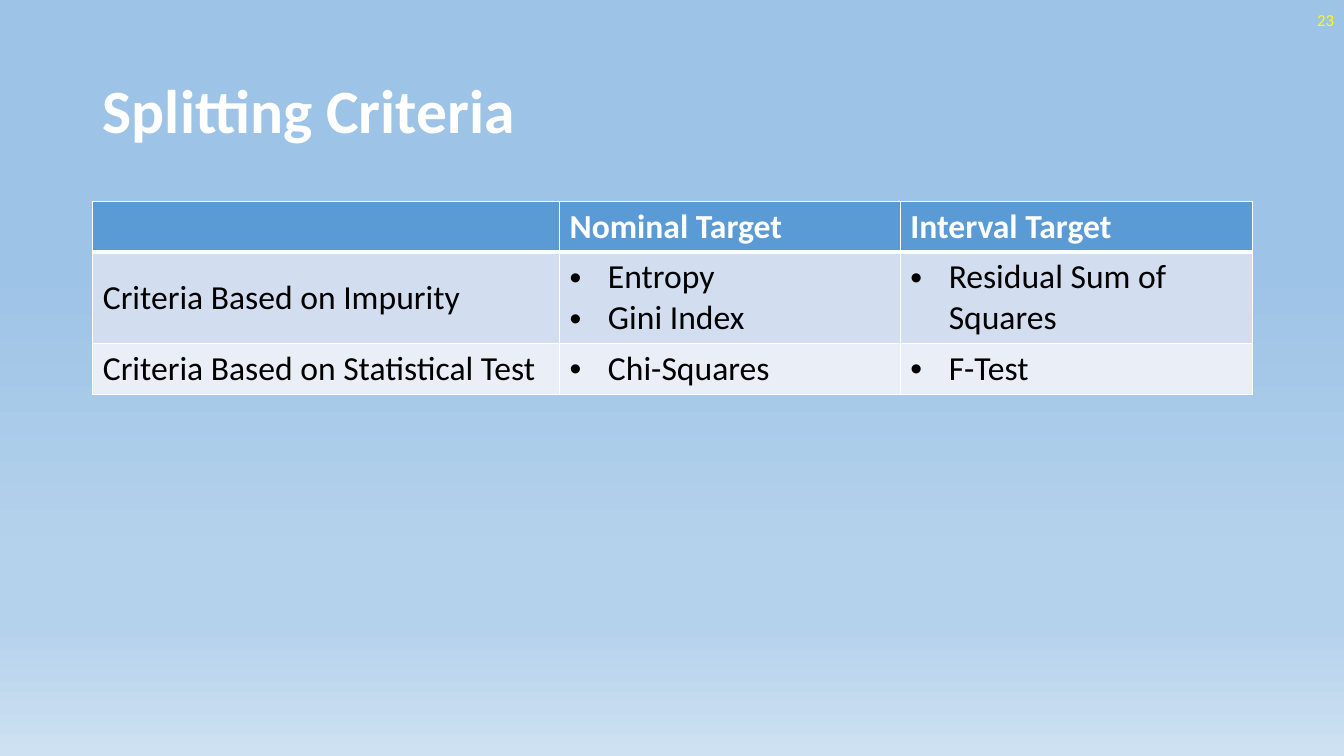
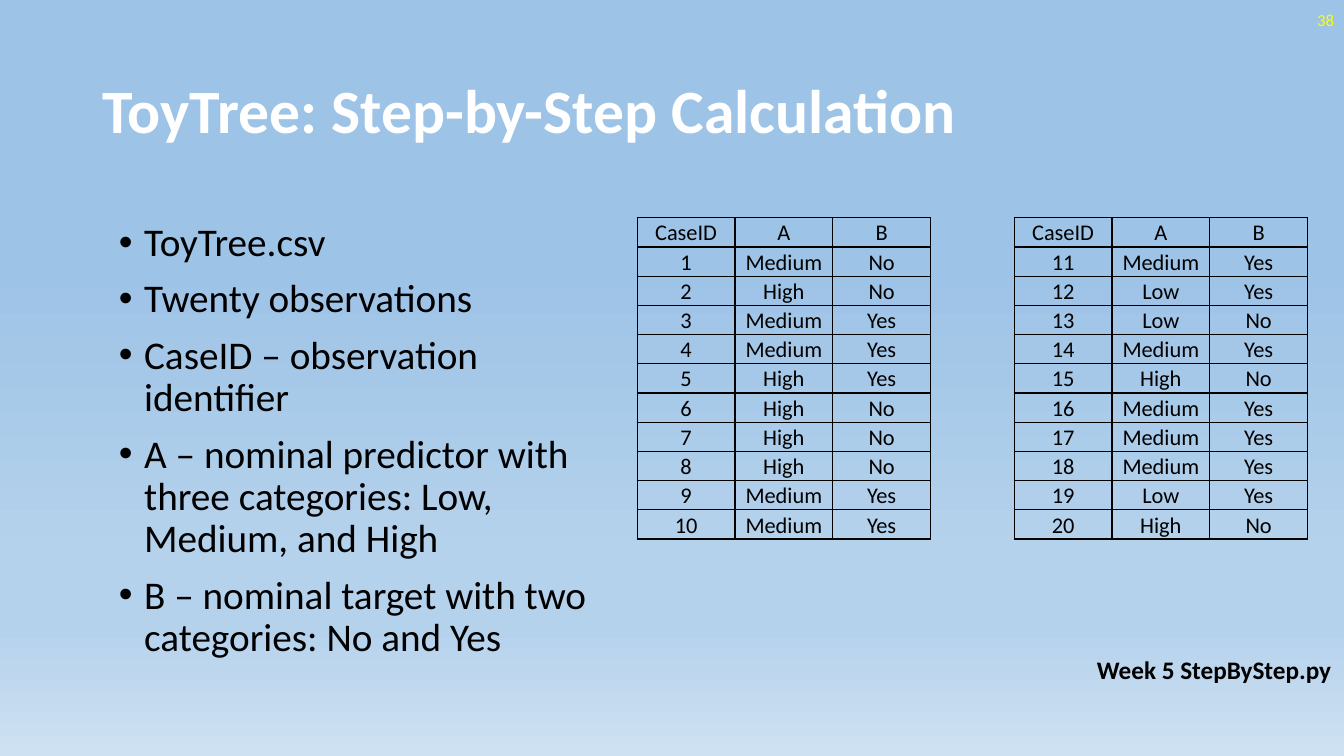
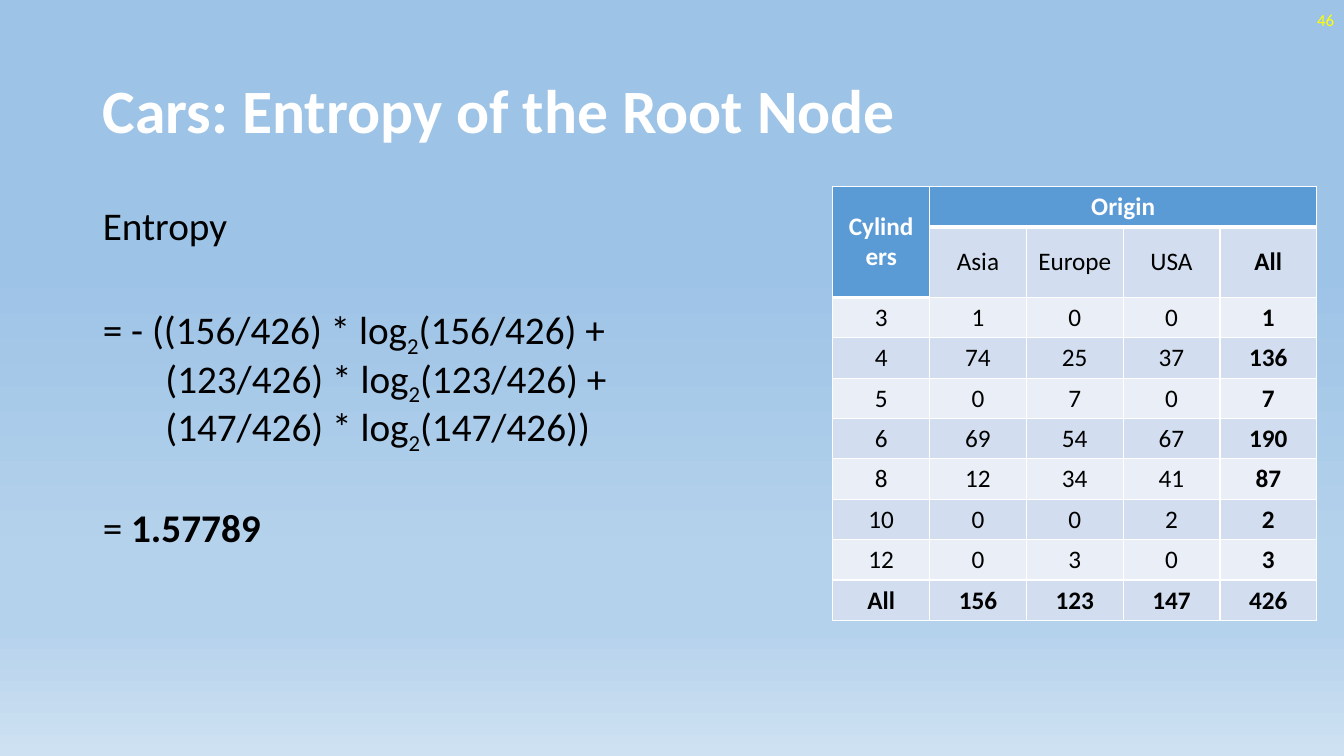
from copy import deepcopy
from dataclasses import dataclass

from lxml.etree import SubElement
from pptx import Presentation
from pptx.dml.color import RGBColor
from pptx.enum.text import MSO_ANCHOR, MSO_AUTO_SIZE, PP_ALIGN
from pptx.oxml.ns import qn
from pptx.util import Inches, Pt


# Theme: colours, type sizes and the positions that all slides share
class Theme:
    font = "Calibri"
    white, black, yellow = "FFFFFF", "000000", "FFFF00"
    header, bands = "5B9BD5", ("EAEFF7", "D2DEEF")
    gradient = [(35, "9DC3E6"), (74, "B5D2EC"), (83, "B5D2EC"), (100, "CEE1F2")]
    title_size, body_size, number_size, note_size = 44, 28, 12, 18
    criteria_size, cases_size, counts_size = 24, 16, 18
    thin, heavy = 1, 3
    body_spacing, body_before = 0.9, 10
    title_at = (0.92, 0.4, 11.5, 1.45)
    number_at = (10.33, 0, 3, 0.4)


# Content
CRITERIA = {
    "title": "Splitting Criteria",
    "number": "23",
    "rows": [
        ("", "Nominal Target", "Interval Target"),
        ("Criteria Based on Impurity", ["Entropy", "Gini Index"], ["Residual Sum of Squares"]),
        ("Criteria Based on Statistical Test", ["Chi-Squares"], ["F-Test"]),
    ],
}

TOY_TREE = {
    "title": "ToyTree: Step-by-Step Calculation",
    "number": "38",
    "points": [
        "ToyTree.csv",
        "Twenty observations",
        "CaseID – observation identifier",
        "A – nominal predictor with three categories: Low, Medium, and High",
        "B – nominal target with two categories: No and Yes",
    ],
    "columns": ["CaseID", "A", "B"],
    "cases": [
        ("Medium", "No"), ("High", "No"), ("Medium", "Yes"), ("Medium", "Yes"),
        ("High", "Yes"), ("High", "No"), ("High", "No"), ("High", "No"),
        ("Medium", "Yes"), ("Medium", "Yes"),
        ("Medium", "Yes"), ("Low", "Yes"), ("Low", "No"), ("Medium", "Yes"),
        ("High", "No"), ("Medium", "Yes"), ("Medium", "Yes"), ("Medium", "Yes"),
        ("Low", "Yes"), ("High", "No"),
    ],
    "program": "Week 5 StepByStep.py",
}

ENTROPY = {
    "title": "Cars: Entropy of the Root Node",
    "number": "46",
    # (left indent, space before, runs of text and style)
    "lines": [
        (0, 10, [("Entropy", "")]),
        (0, 41, [("= - ((156/426) * log", ""), ("2", "sub"), ("(156/426) +", "")]),
        (0.62, 0, [("(123/426) * log", ""), ("2", "sub"), ("(123/426) +", "")]),
        (0.62, 0, [("(147/426) * log", ""), ("2", "sub"), ("(147/426))", "")]),
        (0, 41, [("= ", ""), ("1.57789", "bold")]),
    ],
    "rows": [
        ("Cylinders", "Origin", "", "", ""),
        ("", "Asia", "Europe", "USA", "All"),
        (3, 1, 0, 0, 1),
        (4, 74, 25, 37, 136),
        (5, 0, 7, 0, 7),
        (6, 69, 54, 67, 190),
        (8, 12, 34, 41, 87),
        (10, 0, 0, 2, 2),
        (12, 0, 3, 0, 3),
        ("All", 156, 123, 147, 426),
    ],
}


@dataclass
class CellLook:
    size: int
    fill: str = ""
    color: str = Theme.black
    bold: bool = False
    align: PP_ALIGN = PP_ALIGN.LEFT
    anchor: MSO_ANCHOR = MSO_ANCHOR.MIDDLE
    spacing: float = 1.0
    insets: tuple = (0.1, 0.05)
    line: str = Theme.white
    top: int = Theme.thin
    bottom: int = Theme.thin


# Text helpers
def add_run(paragraph, text, size, color, bold=False, subscript=False):
    run = paragraph.add_run()
    run.text = text
    run.font.name, run.font.size, run.font.bold = Theme.font, Pt(size), bold
    run.font.color.rgb = RGBColor.from_string(color)
    if subscript:
        run.font._element.set("baseline", "-25000")


def set_indent(paragraph, left, hanging=0.0, bullet=False):
    props = paragraph._p.get_or_add_pPr()
    props.set("marL", str(Inches(left)))
    props.set("indent", str(-Inches(hanging)))
    if bullet:
        SubElement(props, qn("a:buFont"), typeface="Arial")
        SubElement(props, qn("a:buChar"), char="•")
    else:
        SubElement(props, qn("a:buNone"))


def paragraphs_for(frame, items):
    for index, item in enumerate(items):
        yield (frame.add_paragraph() if index else frame.paragraphs[0]), item


def place(shape, at):
    shape.left, shape.top, shape.width, shape.height = map(Inches, at)


def add_label(slide, at, text, size, color, bold=False):
    label = slide.shapes.add_textbox(*map(Inches, at))
    add_run(label.text_frame.paragraphs[0], text, size, color, bold)
    return label.text_frame


# Shared slide parts
def paint_background(master):
    fill = master.background.fill
    fill.gradient()
    fill.gradient_angle = 270
    stop_list = master.element.find(".//" + qn("a:gsLst"))
    while len(stop_list) < len(Theme.gradient):
        stop_list.append(deepcopy(stop_list[0]))
    for stop, (position, color) in zip(fill.gradient_stops, Theme.gradient):
        stop.position = position / 100
        stop.color.rgb = RGBColor.from_string(color)


def start_slide(deck, layout_index, content):
    slide = deck.slides.add_slide(deck.slide_layouts[layout_index])
    title = slide.shapes.title
    place(title, Theme.title_at)
    frame = title.text_frame
    frame.auto_size, frame.vertical_anchor = MSO_AUTO_SIZE.NONE, MSO_ANCHOR.MIDDLE
    heading = frame.paragraphs[0]
    heading.alignment, heading.line_spacing = PP_ALIGN.LEFT, Theme.body_spacing
    add_run(heading, content["title"], Theme.title_size, Theme.white, bold=True)

    number = add_label(slide, Theme.number_at, content["number"], Theme.number_size, Theme.yellow)
    number.word_wrap, number.vertical_anchor = True, MSO_ANCHOR.MIDDLE
    number.paragraphs[0].alignment = PP_ALIGN.RIGHT
    return slide


def start_body(slide, at):
    body = slide.placeholders[1]
    place(body, at)
    body.text_frame.auto_size = MSO_AUTO_SIZE.NONE
    body.text_frame.vertical_anchor = MSO_ANCHOR.TOP
    return body.text_frame


# Tables
def draw_borders(cell, look):
    props = cell._tc.get_or_add_tcPr()
    sides = {"L": Theme.thin, "R": Theme.thin, "T": look.top, "B": look.bottom}
    for index, (side, weight) in enumerate(sides.items()):
        border = SubElement(props, qn(f"a:ln{side}"), w=str(Pt(weight)))
        if weight:
            solid = SubElement(border, qn("a:solidFill"))
            SubElement(solid, qn("a:srgbClr"), val=look.line)
        else:
            SubElement(border, qn("a:noFill"))
        props.insert(index, border)


def fill_cell(cell, value, look):
    if look.fill:
        cell.fill.solid()
        cell.fill.fore_color.rgb = RGBColor.from_string(look.fill)
    else:
        cell.fill.background()
    cell.margin_left = cell.margin_right = Inches(look.insets[0])
    cell.margin_top = cell.margin_bottom = Inches(look.insets[1])
    cell.vertical_anchor = look.anchor
    bulleted = isinstance(value, list)
    for paragraph, text in paragraphs_for(cell.text_frame, value if bulleted else [str(value)]):
        paragraph.alignment, paragraph.line_spacing = look.align, look.spacing
        if bulleted:
            set_indent(paragraph, 0.38, 0.38, bullet=True)
        if text:
            add_run(paragraph, text, look.size, look.color, look.bold)
        else:
            SubElement(paragraph._p, qn("a:endParaRPr"), sz=str(look.size * 100))
    draw_borders(cell, look)


def add_grid(slide, left, top, widths, heights, rows, look_at):
    frame = slide.shapes.add_table(
        len(rows), len(widths), Inches(left), Inches(top),
        Inches(sum(widths)), Inches(sum(heights)))
    table = frame.table
    table.first_row = table.horz_banding = False
    for column, width in zip(table.columns, widths):
        column.width = Inches(width)
    for row, height in zip(table.rows, heights):
        row.height = Inches(height)
    for r, values in enumerate(rows):
        for c, value in enumerate(values):
            fill_cell(table.cell(r, c), value, look_at(r, c))
    return table


def banded_look(r, size, is_header, below_header, **extra):
    if is_header:
        return CellLook(size, Theme.header, Theme.white, bold=True,
                        bottom=Theme.heavy, **extra)
    return CellLook(size, Theme.bands[r % 2],
                    top=Theme.heavy if below_header else Theme.thin, **extra)


# Slides
def criteria_slide(deck):
    slide = start_slide(deck, 5, CRITERIA)

    def look_at(r, c):
        anchor = MSO_ANCHOR.MIDDLE if r and c == 0 else MSO_ANCHOR.TOP
        return banded_look(r, Theme.criteria_size, r == 0, r == 1, anchor=anchor)

    add_grid(slide, 0.92, 2, [4.63, 3.38, 3.49], [0.5, 0.91, 0.5], CRITERIA["rows"], look_at)


def toy_tree_slide(deck):
    slide = start_slide(deck, 1, TOY_TREE)
    body = start_body(slide, (1.08, 2.16, 5.03, 4.76))
    for paragraph, point in paragraphs_for(body, TOY_TREE["points"]):
        paragraph.line_spacing, paragraph.space_before = Theme.body_spacing, Pt(Theme.body_before)
        set_indent(paragraph, 0.25, 0.25, bullet=True)
        add_run(paragraph, point, Theme.body_size, Theme.black)

    # Two halves of the cases side by side, with an open column between
    cases = [(i, *case) for i, case in enumerate(TOY_TREE["cases"], 1)]
    half = len(cases) // 2
    columns = TOY_TREE["columns"]
    rows = [(*columns, "", *columns)]
    rows += [(*first, "", *second) for first, second in zip(cases[:half], cases[half:])]
    gap = len(columns)

    def look_at(r, c):
        edge = 0 if c == gap else Theme.thin
        return CellLook(Theme.cases_size, align=PP_ALIGN.CENTER, anchor=MSO_ANCHOR.BOTTOM,
                        spacing=1.07, insets=(0.07, 0), line=Theme.black,
                        top=edge, bottom=edge)

    widths = [0.83 if c == gap else 0.97 for c in range(len(rows[0]))]
    add_grid(slide, 6.32, 2.16, widths, [0.29] * len(rows), rows, look_at)

    program = add_label(slide, (10.78, 6.44, 2.55, 0.4), TOY_TREE["program"],
                        Theme.note_size, Theme.black, bold=True)
    program.word_wrap, program.auto_size = False, MSO_AUTO_SIZE.SHAPE_TO_FIT_TEXT


def entropy_slide(deck):
    slide = start_slide(deck, 1, ENTROPY)
    body = start_body(slide, (0.92, 2, 7.01, 4.76))
    for paragraph, (indent, before, runs) in paragraphs_for(body, ENTROPY["lines"]):
        paragraph.line_spacing, paragraph.space_before = Theme.body_spacing, Pt(before)
        set_indent(paragraph, indent)
        for text, style in runs:
            add_run(paragraph, text, Theme.body_size, Theme.black,
                    bold=style == "bold", subscript=style == "sub")

    rows = ENTROPY["rows"]
    last_row, last_column = len(rows) - 1, len(rows[0]) - 1

    def is_header(r, c):
        return r == 0 or (r, c) == (1, 0)

    def look_at(r, c):
        below = r > 0 and is_header(r - 1, c)
        look = banded_look(r, Theme.counts_size, is_header(r, c), below, align=PP_ALIGN.CENTER)
        look.bold = look.bold or r == last_row or c == last_column
        return look

    heights = [0.7 if r == 1 else 0.4 for r in range(len(rows))]
    counts = add_grid(slide, 8.26, 1.85, [0.96] * len(rows[0]), heights, rows, look_at)
    counts.cell(0, 0).merge(counts.cell(1, 0))
    counts.cell(0, 1).merge(counts.cell(0, last_column))


def main():
    deck = Presentation()
    deck.slide_width, deck.slide_height = Inches(13.33), Inches(7.5)
    paint_background(deck.slide_master)
    criteria_slide(deck)
    toy_tree_slide(deck)
    entropy_slide(deck)
    deck.save("out.pptx")


if __name__ == "__main__":
    main()
